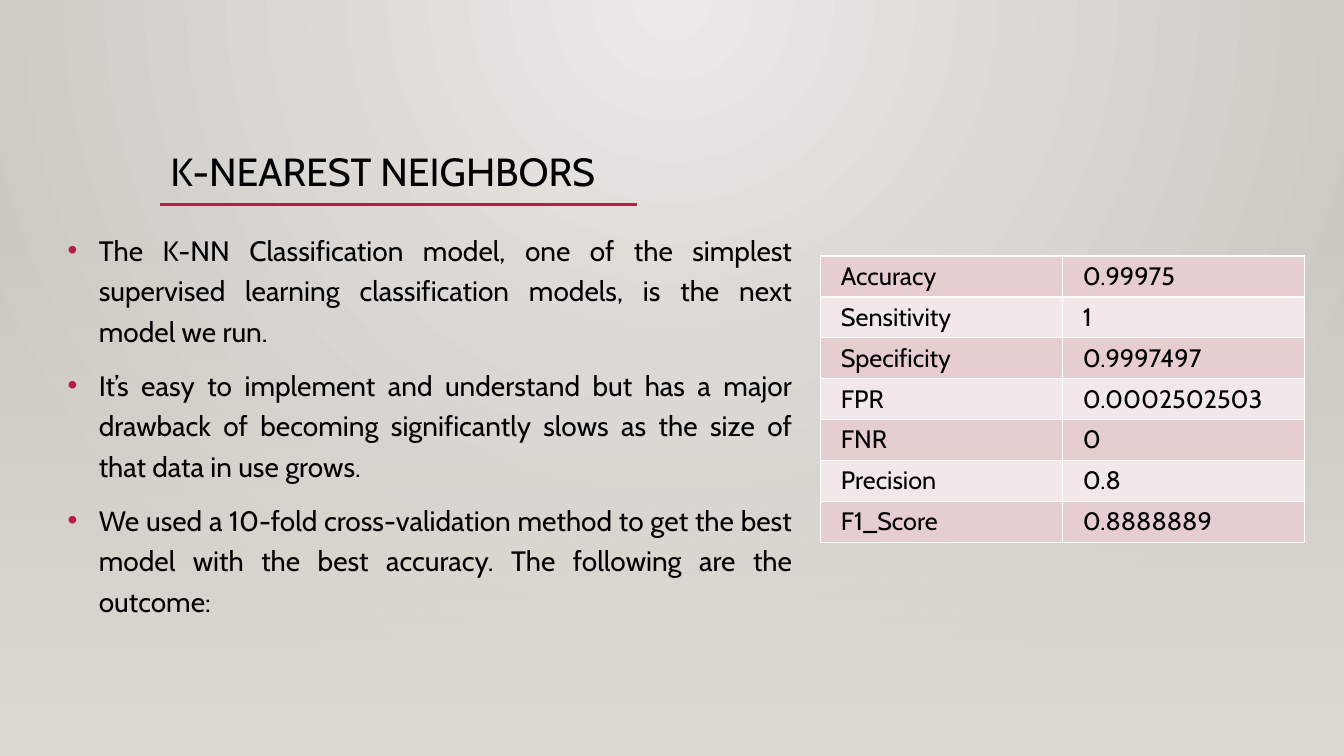
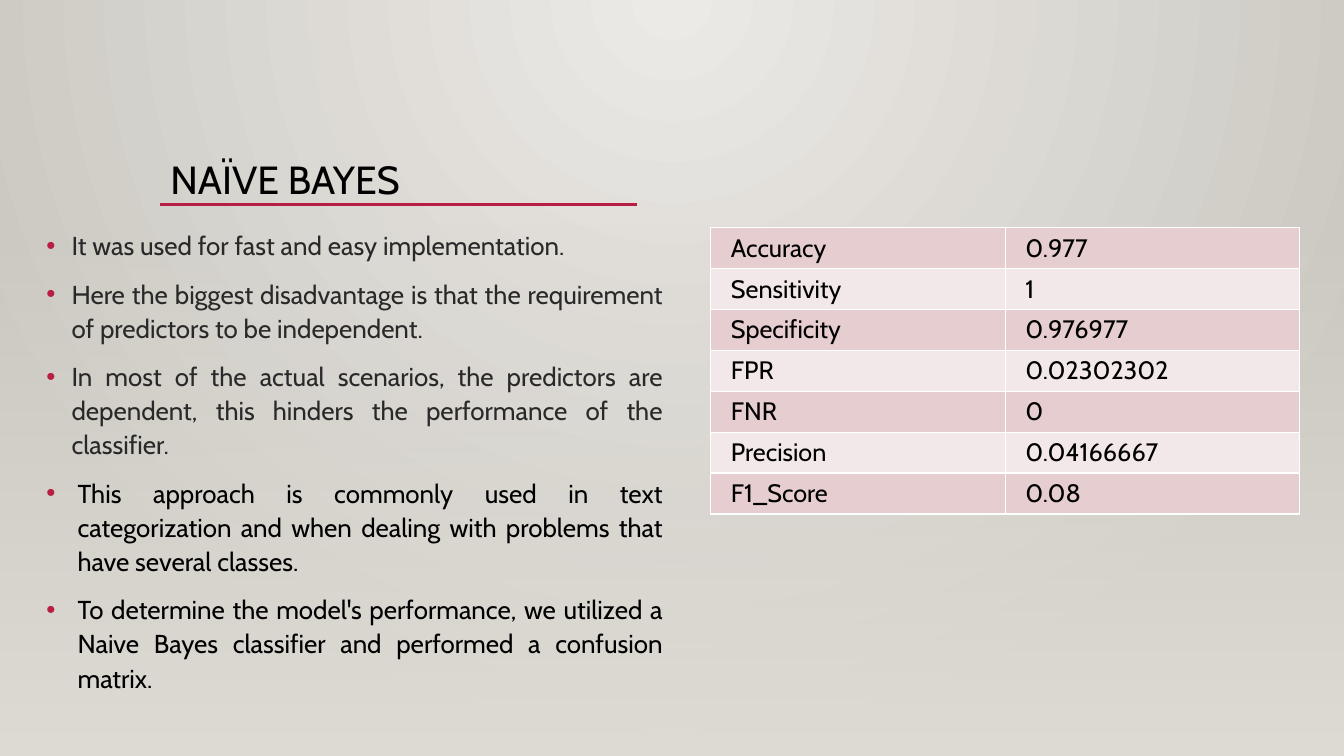
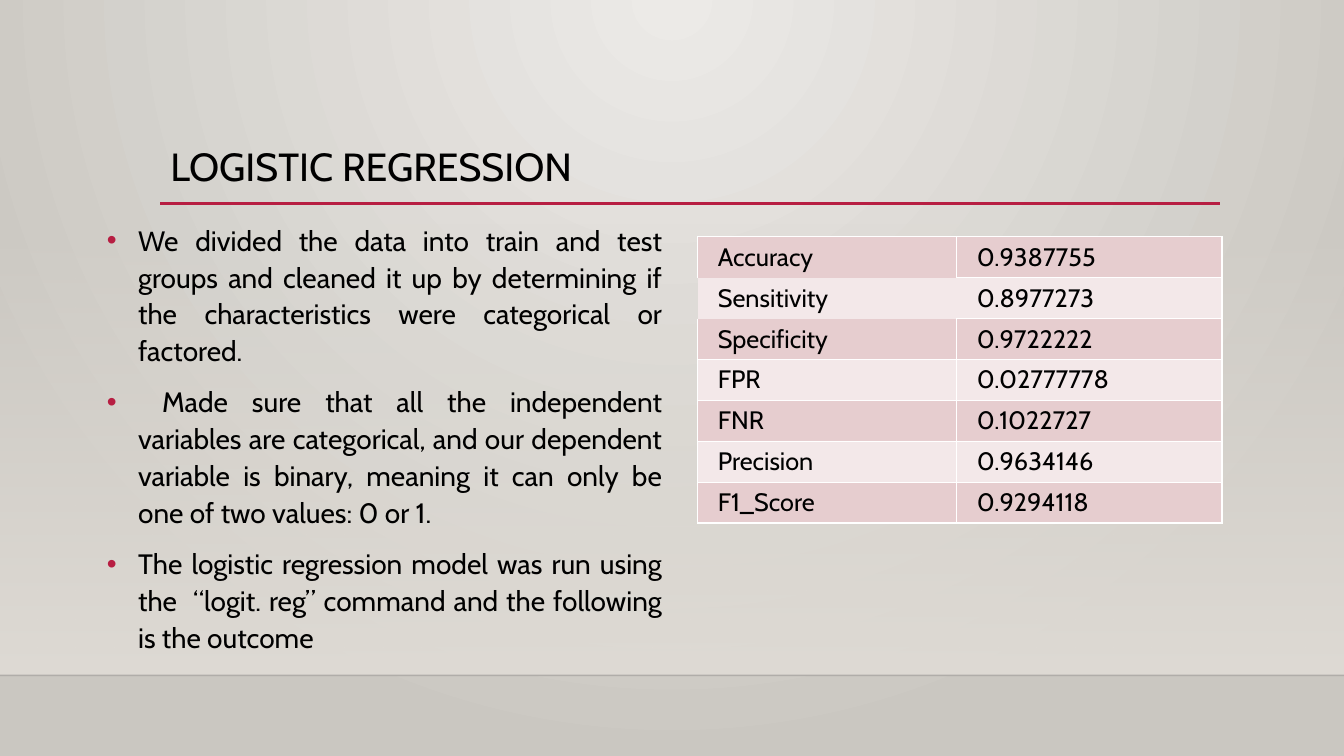
from dataclasses import dataclass

from lxml.etree import SubElement as Sub
from pptx import Presentation
from pptx.dml.color import RGBColor
from pptx.enum.shapes import MSO_CONNECTOR as Conn, MSO_SHAPE as Shape
from pptx.enum.text import MSO_ANCHOR as Anchor, MSO_AUTO_SIZE as Fit, PP_ALIGN as Align
from pptx.oxml.ns import qn
from pptx.util import Inches, Pt


@dataclass(frozen=True)
class Theme:
    font: str = "Cabin"
    ink: str = "000000"
    soft: str = "292929"
    accent: str = "B71E42"
    edge: str = "000001"
    glow: str = "ECEAE7"
    shade: str = "CAC7C1"
    wash: str = "DFDBD5"
    bands: tuple = ("E6CDCF", "F3E8E9")
    grid: str = "FFFFFF"
    head: float = 28
    body: float = 20
    small: float = 18.5
    cell: float = 18


WIDE, HIGH, LEFT = 13.33, 7.5, 1.59
LABELS = ("Accuracy", "Sensitivity", "Specificity", "FPR", "FNR", "Precision", "F1_Score")
SIDES = {"a:lnL": (0, -1), "a:lnR": (0, 1), "a:lnT": (-1, 0), "a:lnB": (1, 0)}


def put(obj, **vals):
    for name, val in vals.items():
        setattr(obj, name, val)


def box(*nums):
    return dict(zip(("left", "top", "width", "height"), map(Inches, nums)))


def blend(fill, *hues):
    """Turn a fill into a two-stop gradient."""
    fill.gradient()
    for stop, hue in zip(fill.gradient_stops, hues):
        stop.color.rgb = RGBColor.from_string(hue)


def fade(root, percent):
    """Set the opacity of the first colour under an element."""
    Sub(next(root.iter(qn("a:srgbClr"))), qn("a:alpha"), val=str(percent * 1000))


class Deck:
    def __init__(self, look):
        self.look = look
        self.prs = Presentation()
        put(self.prs, slide_width=Inches(WIDE), slide_height=Inches(HIGH))
        self.slide = None
        self.glow()

    def glow(self):
        """Give the master its round gradient, lit from the top."""
        master = self.prs.slide_master
        blend(master.background.fill, self.look.glow, self.look.shade)
        grad = next(master.element.iter(qn("a:gradFill")))
        grad.remove(grad.find(qn("a:lin")))
        ring = Sub(grad, qn("a:path"), path="circle")
        Sub(ring, qn("a:fillToRect"), l="43000", t="0", r="43000", b="100000")

    def page(self, wash):
        """Start a slide whose lower wash has the given height."""
        self.slide = self.prs.slides.add_slide(self.prs.slide_layouts[1])
        rect = self.slide.shapes.add_shape(Shape.RECTANGLE, **box(0, 2.21, WIDE, wash))
        rect.shadow.inherit = False
        rect.line.fill.background()
        blend(rect.fill, self.look.wash, self.look.wash)
        rect.fill.gradient_angle = 270
        fade(rect.element, 0)
        rect.element.getparent().insert(2, rect.element)

    def rule(self, left, top, width, hue, size):
        line = self.slide.shapes.add_connector(
            Conn.STRAIGHT, *map(Inches, (left, top, left + width, top)))
        line.line.color.rgb = RGBColor.from_string(hue)
        line.line.width = Pt(size)
        Sub(line.element.spPr, qn("a:effectLst"))
        return line

    def label(self, para, text, size, hue):
        run = para.add_run()
        run.text = text
        put(run.font, name=self.look.font, size=Pt(size))
        run.font.color.rgb = RGBColor.from_string(hue)

    def frame(self, holder, area):
        put(holder, **box(*area))
        put(holder.text_frame, word_wrap=True, auto_size=Fit.NONE,
            vertical_anchor=Anchor.TOP)
        return holder.text_frame

    def title(self, text, top, width, height):
        para = self.frame(self.slide.shapes.title, (LEFT, top, width, height)).paragraphs[0]
        put(para, alignment=Align.LEFT, line_spacing=0.9)
        self.label(para, text, self.look.head, self.look.ink)

    def bullets(self, area, items, size, space, soft=0):
        """List the items; the first few may be softer and less indented."""
        frame = self.frame(self.slide.placeholders[1], area)
        for i, text in enumerate(items):
            para = frame.add_paragraph() if i else frame.paragraphs[0]
            put(para, alignment=Align.JUSTIFY, line_spacing=space,
                space_before=Pt(10), space_after=Pt(0))
            hue, dent = (self.look.soft, 0.25) if i < soft else (self.look.ink, 0.31)
            props = para._p.get_or_add_pPr()
            props.set("marL", str(Inches(dent)))
            props.set("indent", str(-Inches(dent)))
            Sub(Sub(props, qn("a:buClr")), qn("a:srgbClr"), val=self.look.accent)
            Sub(props, qn("a:buFont"), typeface="Arial")
            Sub(props, qn("a:buChar"), char="•")
            self.label(para, text, size, hue)

    def table(self, left, top, widths, values, bare=()):
        """Set the scores beside their labels; bare cells have no borders."""
        area = box(left, top, sum(widths), 0.4 * len(values))
        grid = self.slide.shapes.add_table(len(values), len(widths), **area).table
        put(grid, first_row=False, horz_banding=False)
        for col, width in zip(grid.columns, widths):
            col.width = Inches(width)
        for r, row in enumerate(zip(LABELS, values)):
            for c, text in enumerate(row):
                cell = grid.cell(r, c)
                put(cell, margin_left=Inches(0.2), margin_right=Inches(0.2))
                self.label(cell.text_frame.paragraphs[0], text,
                           self.look.cell, self.look.ink)
                self.borders(cell, r, c, bare)
                cell.fill.solid()
                cell.fill.fore_color.rgb = RGBColor.from_string(self.look.bands[r % 2])

    def borders(self, cell, r, c, bare):
        props = cell._tc.get_or_add_tcPr()
        for tag, (down, right) in SIDES.items():
            line = Sub(props, qn(tag), w=str(Pt(1)))
            if (r, c) in bare or (r + down, c + right) in bare:
                Sub(line, qn("a:noFill"))
            else:
                Sub(Sub(line, qn("a:solidFill")), qn("a:srgbClr"), val=self.look.grid)


def main():
    look = Theme()
    deck = Deck(look)

    deck.page(5.29)
    deck.title("K-NEAREST NEIGHBORS", 1.46, 4.73, 0.57)
    deck.rule(LEFT, 2.03, 4.73, look.accent, 2.5)
    deck.bullets((0.57, 2.2, 7.39, 4.46), (
        "The K-NN Classification model, one of the simplest supervised learning "
        "classification models, is the next model we run.",
        "It’s easy to implement and understand but has a major drawback of "
        "becoming significantly slows as the size of that data in use grows.",
        "We used a 10-fold cross-validation method to get the best model with the "
        "best accuracy. The following are the outcome:",
    ), look.body, 1.2)
    deck.table(8.14, 2.54, (2.4, 2.4), (
        "0.99975", "1", "0.9997497", "0.0002502503", "0", "0.8", "0.8888889"))

    deck.page(5.29)
    deck.title("NAÏVE BAYES", 1.54, 4.73, 1.15)
    deck.rule(LEFT, 2.03, 4.73, look.accent, 2.5)
    deck.bullets((0.36, 2.2, 6.31, 5.15), (
        "It was used for fast and easy implementation.",
        "Here the biggest disadvantage is that the requirement of predictors to be "
        "independent.",
        "In most of the actual scenarios, the predictors are dependent, this hinders "
        "the performance of the classifier.",
        "This approach is commonly used in text categorization and when dealing with "
        "problems that have several classes.",
        "To determine the model's performance, we utilized a Naive Bayes classifier "
        "and performed a confusion matrix.",
    ), look.small, 1.1, soft=3)
    deck.table(7.05, 2.26, (2.92, 2.92), (
        "0.977", "1", "0.976977", "0.02302302", "0", "0.04166667", "0.08"))

    deck.page(4.49)
    edge = deck.rule(0, 6.7, WIDE, look.edge, 1)
    fade(edge.element, 20)
    deck.title("LOGISTIC REGRESSION", 1.41, 4.57, 0.62)
    deck.rule(LEFT, 2.02, 10.51, look.accent, 2.5)
    deck.bullets((0.96, 2.13, 5.71, 4.33), (
        "We divided the data into train and test groups and cleaned it up by "
        "determining if the characteristics were categorical or factored.",
        " Made sure that all the independent variables are categorical, and our "
        "dependent variable is binary, meaning it can only be one of two values: 0 or 1.",
        "The logistic regression model was run using the  “logit. reg” command and "
        "the following is the outcome",
    ), look.body, 1.1)
    deck.table(6.92, 2.35, (2.57, 2.63), (
        "0.9387755", "0.8977273", "0.9722222", "0.02777778", "0.1022727",
        "0.9634146", "0.9294118"), bare={(1, 0)})

    deck.prs.save("out.pptx")


if __name__ == "__main__":
    main()
